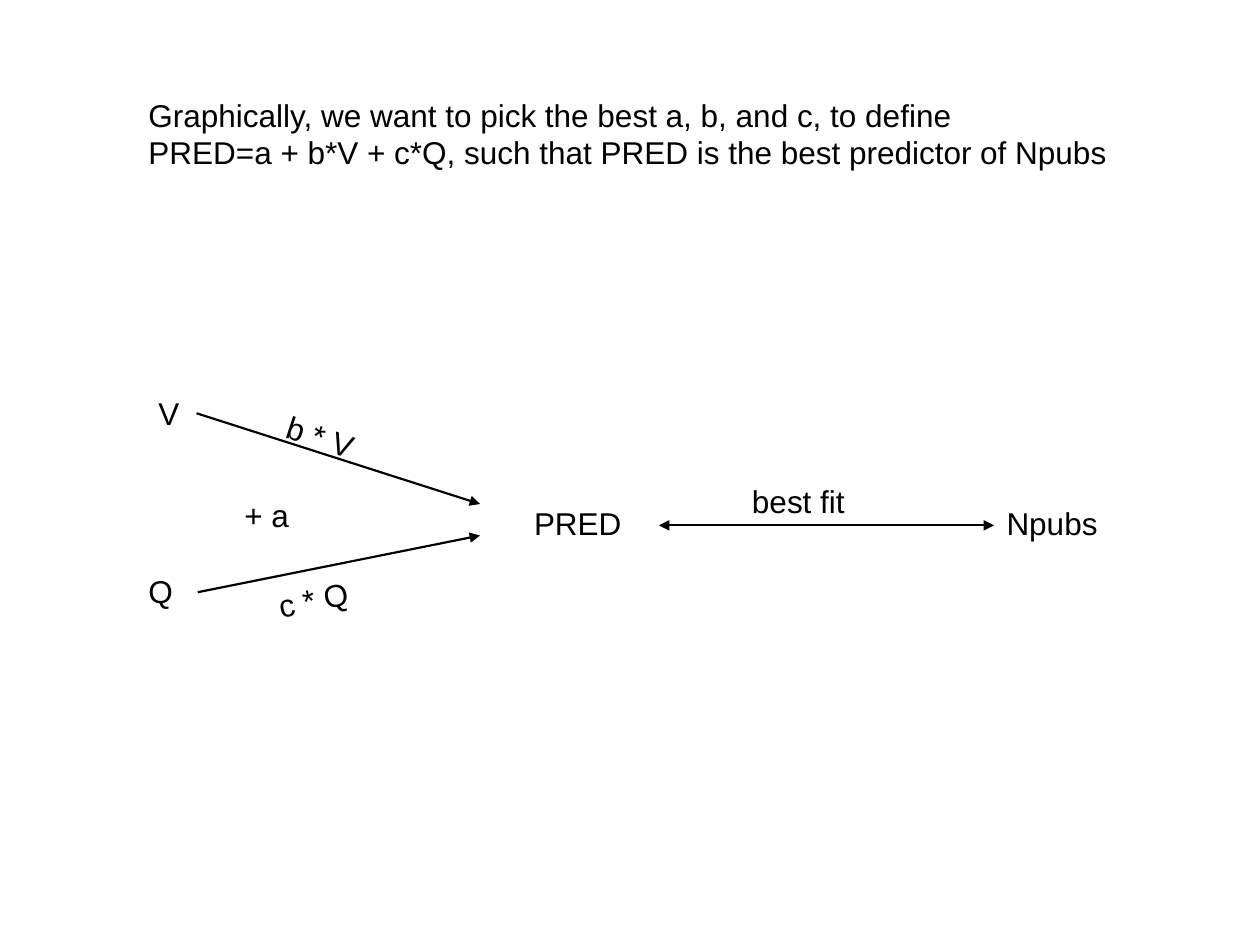
import pptx
import pptx.util
import pptx.dml.color
import pptx.enum.shapes
import pptx.enum.text
import pptx.oxml.ns
import lxml.etree

Inches = pptx.util.Inches
BLACK = pptx.dml.color.RGBColor(0, 0, 0)

deck = pptx.Presentation()
deck.slide_width, deck.slide_height = Inches(10), Inches(7.5)
slide = deck.slides.add_slide(deck.slide_layouts[6])

# Arrows: start, end, and the ends that carry a head
arrows = [
    ((1.56, 3.28), (3.81, 4), ["tailEnd"]),
    ((1.57, 4.7), (3.81, 4.25), ["tailEnd"]),
    ((5.23, 4.17), (7.89, 4.17), ["headEnd", "tailEnd"]),
]
for start, end, heads in arrows:
    arrow = slide.shapes.add_connector(
        pptx.enum.shapes.MSO_CONNECTOR.STRAIGHT,
        *[Inches(value) for value in start + end])
    arrow.line.color.rgb = BLACK
    arrow.line.width = pptx.util.Pt(1.25)
    line_xml = arrow.line._get_or_add_ln()
    for head in heads:
        lxml.etree.SubElement(line_xml, pptx.oxml.ns.qn("a:" + head), type="triangle")
    lxml.etree.SubElement(arrow._element.spPr, pptx.oxml.ns.qn("a:effectLst"))

# Statement and diagram labels: text, left, top, width, height, rotation
labels = [
    ("Graphically, we want to pick the best a, b, and c, to define\n"
     "PRED=a + b*V + c*Q, such that PRED is the best predictor of Npubs",
     1.08, 0.71, 8.11, 0.71, 0),
    ("V", 1.16, 3.08, 0.36, 0.4, 0),
    ("Q", 1.08, 4.49, 0.36, 0.4, 0),
    ("b * V", 2.16, 3.36, 1.36, 0.4, 18.2),
    ("c * Q", 2.1, 4.46, 1.68, 0.4, -11.8),
    ("+ a", 1.84, 3.89, 1.68, 0.4, 0),
    ("PRED", 4.14, 3.95, 0.97, 0.4, 0),
    ("best fit", 5.87, 3.78, 1.64, 0.4, 0),
    ("Npubs", 7.89, 3.95, 1.3, 0.4, 0),
]
for text, left, top, width, height, rotation in labels:
    label = slide.shapes.add_textbox(
        Inches(left), Inches(top), Inches(width), Inches(height))
    label.rotation = rotation
    frame = label.text_frame
    frame.word_wrap = True
    frame.auto_size = pptx.enum.text.MSO_AUTO_SIZE.SHAPE_TO_FIT_TEXT
    frame.text = text
    for paragraph in frame.paragraphs:
        for run in paragraph.runs:
            run.font.name = "Arial"
            run.font.size = pptx.util.Pt(18)
            run.font.color.rgb = BLACK

deck.save("out.pptx")
